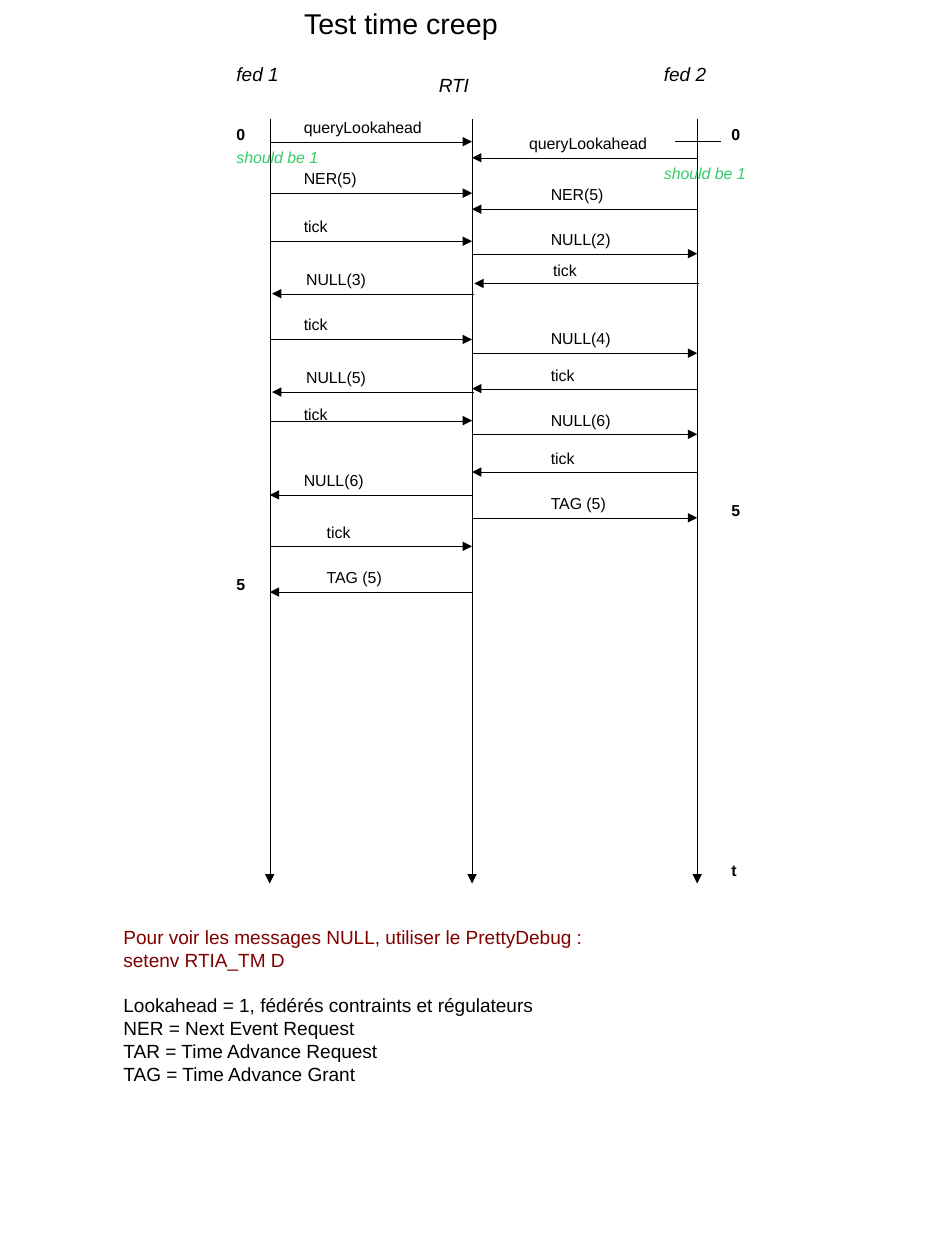
from dataclasses import dataclass

from lxml.etree import SubElement
from pptx import Presentation
from pptx.dml.color import RGBColor
from pptx.enum.shapes import MSO_CONNECTOR
from pptx.enum.text import MSO_ANCHOR, MSO_AUTO_SIZE, PP_ALIGN
from pptx.oxml.ns import qn
from pptx.util import Inches, Pt


@dataclass(frozen=True)
class Theme:
    """Colours, font and type sizes of the diagram."""
    font: str = "Arial"
    ink: str = "000000"
    hint: str = "33CC66"
    alert: str = "800000"
    title: int = 18
    heading: int = 12
    label: int = 10
    gap: int = 14


@dataclass(frozen=True)
class Message:
    """One call between two lifelines, with its label placement."""
    start: float
    end: float
    y: float
    text: str
    indent: float = 0.2
    rise: float = 0.26
    shift: float = 0


THEME = Theme()
CM_PER_INCH = 2.54
FED1, RTI, FED2 = 2.36, 4.13, 6.1
LIFE_TOP, LIFE_END = 1.04, 7.73
RIGHT_INDENT = 0.59

MESSAGES = [
    Message(FED1, RTI, 1.24, "queryLookahead"),
    Message(FED1, RTI, 1.69, "NER(5)"),
    Message(FED1, RTI, 2.11, "tick"),
    Message(RTI, FED1, 2.57, "NULL(3)", shift=0.02),
    Message(FED1, RTI, 2.97, "tick", rise=0.27),
    Message(RTI, FED1, 3.43, "NULL(5)", shift=0.02),
    Message(FED1, RTI, 3.68, "tick", rise=0.19),
    Message(RTI, FED1, 4.33, "NULL(6)"),
    Message(FED1, RTI, 4.78, "tick", indent=0.4),
    Message(RTI, FED1, 5.18, "TAG (5)", indent=0.4),
    Message(FED2, RTI, 1.38, "queryLookahead", indent=0.4),
    Message(FED2, RTI, 1.83, "NER(5)", RIGHT_INDENT),
    Message(RTI, FED2, 2.22, "NULL(2)", RIGHT_INDENT),
    Message(FED2, RTI, 2.48, "tick", RIGHT_INDENT, rise=0.25, shift=0.02),
    Message(RTI, FED2, 3.09, "NULL(4)", RIGHT_INDENT),
    Message(FED2, RTI, 3.4, "tick", RIGHT_INDENT, rise=0.25),
    Message(RTI, FED2, 3.8, "NULL(6)", RIGHT_INDENT),
    Message(FED2, RTI, 4.13, "tick", RIGHT_INDENT, rise=0.25),
    Message(RTI, FED2, 4.53, "TAG (5)", RIGHT_INDENT),
]

NOTES = [
    ("Pour voir les messages NULL, utiliser le PrettyDebug :", THEME.alert, 0),
    ("setenv RTIA_TM D", THEME.alert, 0),
    ("Lookahead = 1, fédérés contraints et régulateurs", THEME.ink, THEME.gap),
    ("NER = Next Event Request", THEME.ink, 0),
    ("TAR = Time Advance Request", THEME.ink, 0),
    ("TAG = Time Advance Grant", THEME.ink, 0),
]


def add_line(s, x1, y1, x2, y2, arrow=True):
    """Draw a hairline, with an arrowhead at its end if wanted."""
    sp = s.shapes.add_connector(MSO_CONNECTOR.STRAIGHT, Inches(x1), Inches(y1),
                                Inches(x2), Inches(y2))
    sp.line.color.rgb = RGBColor.from_string(THEME.ink)
    ln = sp._element.spPr.find(qn("a:ln"))
    ln.set("w", "0")
    if arrow:
        SubElement(ln, qn("a:tailEnd"), type="triangle")
    SubElement(sp._element.spPr, qn("a:effectLst"))


def place(sp, x, y, w, h):
    """Set the position and size of a shape in inches."""
    sp.left, sp.top, sp.width, sp.height = map(Inches, (x, y, w, h))


def setup_frame(tf):
    """Make a text frame wrap and start at its top."""
    tf.word_wrap = True
    tf.auto_size = MSO_AUTO_SIZE.NONE
    tf.vertical_anchor = MSO_ANCHOR.TOP


def add_run(p, text, size, color=THEME.ink, bold=False, italic=False):
    """Add a formatted run to a left-aligned paragraph."""
    p.alignment = PP_ALIGN.LEFT
    r = p.add_run()
    r.text = text
    r.font.name = THEME.font
    r.font.size = Pt(size)
    r.font.bold = bold
    r.font.italic = italic
    r.font.color.rgb = RGBColor.from_string(color)


def add_label(s, text, x, y, w, size=THEME.label, **style):
    """Add a one-line text box."""
    sp = s.shapes.add_textbox(Inches(x), Inches(y), Inches(w), Inches(0.25))
    setup_frame(sp.text_frame)
    add_run(sp.text_frame.paragraphs[0], text, size, **style)


def add_message(s, m):
    """Draw a message arrow and its label."""
    add_line(s, m.start + m.shift, m.y, m.end + m.shift, m.y)
    left = min(m.start, m.end) + m.indent + m.shift
    add_label(s, m.text, left, m.y - m.rise, 1.38)


def fill_title(s, text):
    """Fill and place the title placeholder."""
    sp = s.shapes.title
    place(sp, 2.56, 0, 3.74, 0.38)
    setup_frame(sp.text_frame)
    add_run(sp.text_frame.paragraphs[0], text, THEME.title)


def fill_notes(s):
    """Fill the body placeholder with the unbulleted legend."""
    sp = s.placeholders[1]
    place(sp, 0.98, 8.05, 6.69, 1.41)
    tf = sp.text_frame
    setup_frame(tf)
    for i, (text, color, before) in enumerate(NOTES):
        p = tf.add_paragraph() if i else tf.paragraphs[0]
        p.space_before = Pt(before)
        pPr = p._p.get_or_add_pPr()
        pPr.set("marL", "0")
        pPr.set("indent", "0")
        SubElement(pPr, qn("a:buNone"))
        add_run(p, text, THEME.heading, color)


def main():
    """Build the sequence diagram and save it."""
    prs = Presentation()
    prs.slide_width = Inches(21 / CM_PER_INCH)
    prs.slide_height = Inches(28 / CM_PER_INCH)
    s = prs.slides.add_slide(prs.slide_layouts[1])
    fill_title(s, "Test time creep")
    fill_notes(s)
    for name, x, y, axis in [("fed 1", 1.97, 0.5, FED1), ("RTI", 3.74, 0.59, RTI),
                             ("fed 2", 5.71, 0.5, FED2)]:
        add_label(s, name, x, y, 0.79, THEME.heading, italic=True)
        add_line(s, axis, LIFE_TOP, axis, LIFE_END)
    for m in MESSAGES:
        add_message(s, m)
    add_line(s, 5.91, 1.24, 6.3, 1.24, arrow=False)
    for text, x, y in [("0", 1.97, 1.04), ("5", 1.97, 4.98), ("0", 6.3, 1.04),
                       ("5", 6.3, 4.33), ("t", 6.3, 7.48)]:
        add_label(s, text, x, y, 0.39, bold=True)
    for x, y in [(1.97, 1.24), (5.71, 1.38)]:
        add_label(s, "should be 1", x, y, 0.98, color=THEME.hint, italic=True)
    prs.save("out.pptx")


if __name__ == "__main__":
    main()
